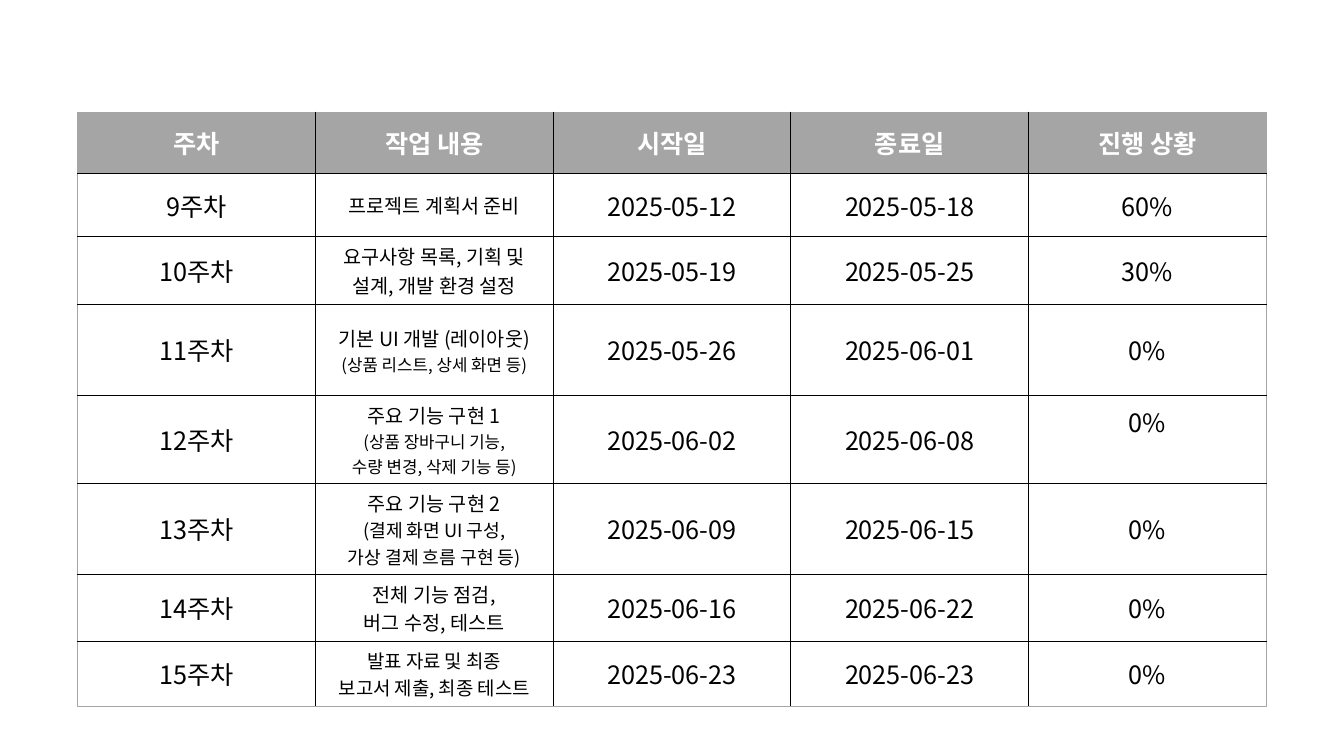
from pptx import Presentation
from pptx.dml.color import RGBColor
from pptx.enum.text import MSO_ANCHOR, PP_ALIGN
from pptx.oxml.ns import qn
from pptx.util import Inches, Pt
from lxml.etree import SubElement

COLORS = {"header": "A5A5A5", "header_text": "FFFFFF", "text": "000000", "grid": "000000"}
FONT = "Noto Sans CJK KR"
HEADERS = ["주차", "작업 내용", "시작일", "종료일", "진행 상황"]
FIRST_WEEK = 9
SCHEDULE = [
    ([("프로젝트 계획서 준비", 14)], "2025-05-12", "2025-05-18", "60%"),
    ([("요구사항 목록, 기획 및 설계, 개발 환경 설정", 14)], "2025-05-19", "2025-05-25", "30%"),
    ([("기본 UI 개발 (레이아웃)", 14), ("(상품 리스트, 상세 화면 등)", 12)],
     "2025-05-26", "2025-06-01", "0%"),
    ([("주요 기능 구현 1", 14), ("(상품 장바구니 기능,", 12), ("수량 변경, 삭제 기능 등)", 12)],
     "2025-06-02", "2025-06-08", "0%"),
    ([("주요 기능 구현 2", 14), ("(결제 화면 UI 구성,", 13), ("가상 결제 흐름 구현 등)", 13)],
     "2025-06-09", "2025-06-15", "0%"),
    ([("전체 기능 점검,", 14), ("버그 수정, 테스트", 14)], "2025-06-16", "2025-06-22", "0%"),
    ([("발표 자료 및 최종", 13.5), ("보고서 제출, 최종 테스트", 13.5)],
     "2025-06-23", "2025-06-23", "0%"),
]
ROW_HEIGHTS = [0.61, 0.63] + [0.61] * 6
RAISED_CELL = (4, 4)


def write_cell(cell, lines, color, bold):
    """Fill a cell with centred lines of (text, size)."""
    cell.vertical_anchor = MSO_ANCHOR.MIDDLE
    tf = cell.text_frame
    tf.text = "\n".join(text for text, size in lines)
    for p, (text, size) in zip(tf.paragraphs, lines):
        p.alignment = PP_ALIGN.CENTER
        for r in p.runs:
            r.font.name = FONT
            r.font.size = Pt(size)
            r.font.bold = bold
            r.font.color.rgb = RGBColor.from_string(color)
            SubElement(r.font._element, qn("a:ea"), typeface=FONT)


def set_borders(cell, outer_sides):
    """Draw thin grey lines on the outer sides and black ones elsewhere."""
    tc_pr = cell._tc.get_or_add_tcPr()
    for i, side in enumerate("LRTB"):
        color, width = (COLORS["header"], 0.5) if side in outer_sides else (COLORS["grid"], 1)
        ln = SubElement(tc_pr, qn(f"a:ln{side}"), w=str(Pt(width)))
        fill = SubElement(ln, qn("a:solidFill"))
        SubElement(fill, qn("a:srgbClr"), val=color)
        tc_pr.remove(ln)
        tc_pr.insert(i, ln)


def set_fill(cell, is_header):
    """Fill header cells and leave the others clear."""
    if is_header:
        cell.fill.solid()
        cell.fill.fore_color.rgb = RGBColor.from_string(COLORS["header"])
    else:
        cell.fill.background()


def schedule_rows():
    """Return every row as a list of cells, each a list of lines."""
    rows = [[[(header, 18)] for header in HEADERS]]
    for week, (tasks, *details) in enumerate(SCHEDULE, FIRST_WEEK):
        rows.append([[(f"{week}주차", 18)], tasks] + [[(text, 18)] for text in details])
    return rows


def add_schedule(slide):
    """Add the weekly schedule table."""
    rows = schedule_rows()
    last_row, last_col = len(rows) - 1, len(HEADERS) - 1
    table = slide.shapes.add_table(len(rows), len(HEADERS), Inches(0.77), Inches(1.11),
                                   Inches(11.79), Inches(sum(ROW_HEIGHTS))).table
    for row, height in zip(table.rows, ROW_HEIGHTS):
        row.height = Inches(height)
    for i, row in enumerate(rows):
        for j, lines in enumerate(row):
            cell = table.cell(i, j)
            is_header = i == 0
            write_cell(cell, lines, COLORS["header_text" if is_header else "text"], is_header)
            set_fill(cell, is_header)
            edges = {"L": j == 0, "R": j == last_col, "T": is_header, "B": i == last_row}
            set_borders(cell, [side for side, outer in edges.items() if outer])
    table.cell(*RAISED_CELL).margin_bottom = Inches(0.41)


def main():
    """Build the schedule slide."""
    prs = Presentation()
    prs.slide_width, prs.slide_height = Inches(13.33), Inches(7.5)
    slide = prs.slides.add_slide(prs.slide_layouts[6])
    add_schedule(slide)
    prs.save("out.pptx")


if __name__ == "__main__":
    main()
